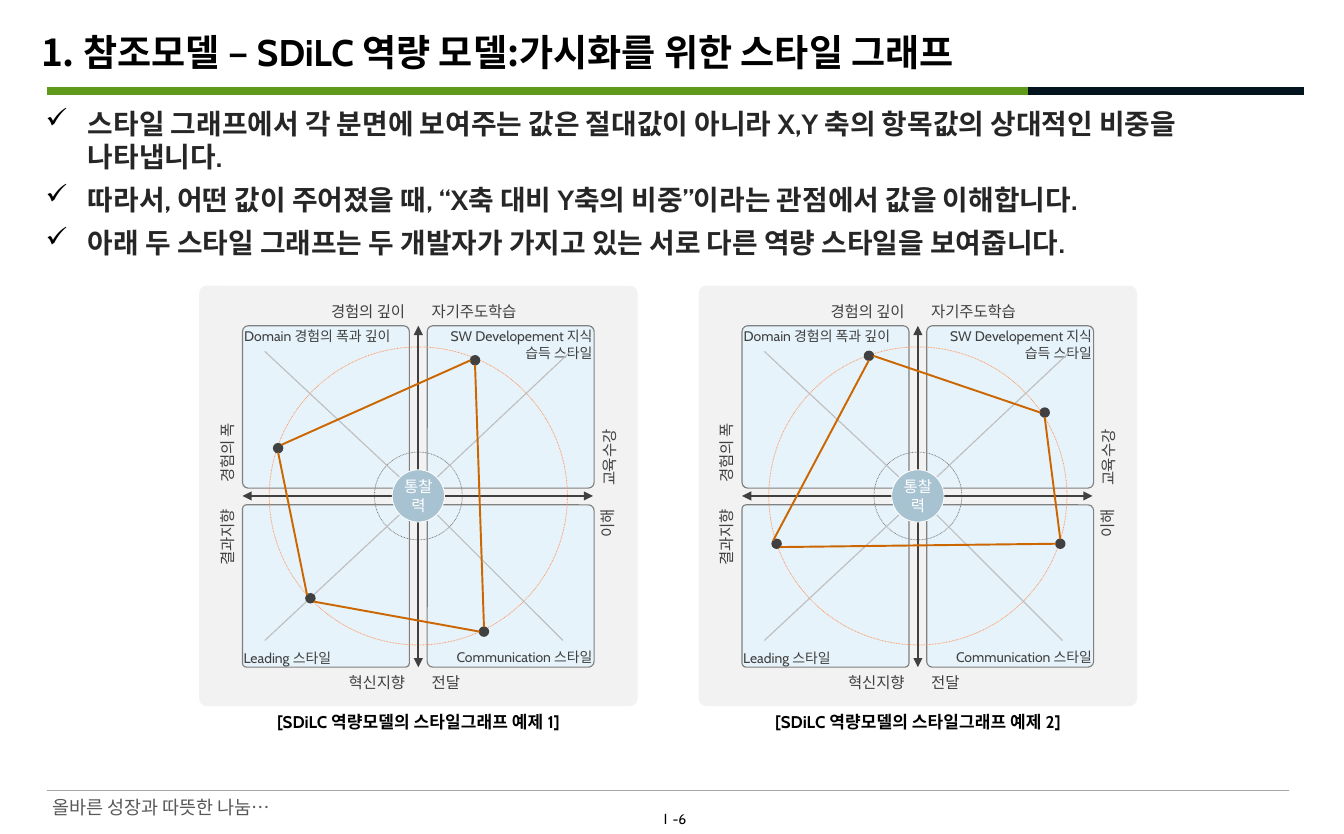
from lxml.etree import SubElement
from pptx import Presentation
from pptx.dml.color import RGBColor
from pptx.enum.dml import MSO_LINE
from pptx.enum.shapes import MSO_CONNECTOR, MSO_SHAPE
from pptx.enum.text import MSO_ANCHOR, PP_ALIGN
from pptx.oxml.ns import qn
from pptx.util import Pt

SCALE = 9144  # EMU per px, 100 px to the inch
SANS = "Noto Sans CJK KR"
DARK = "404040"
ALIGN = {"l": PP_ALIGN.LEFT, "c": PP_ALIGN.CENTER, "r": PP_ALIGN.RIGHT}
ANCHOR = {"t": MSO_ANCHOR.TOP, "m": MSO_ANCHOR.MIDDLE, "b": MSO_ANCHOR.BOTTOM}


def px(*vals):
    return [round(v * SCALE) for v in vals]


def color(code):
    return RGBColor.from_string(code)


def write(shape, *paras, size=10, font="Cabin", ink=DARK, bold=False,
          align="l", anchor="t", pad=(4, 5), bullet=None):
    """Each paragraph is a string or a list of (text, font) runs."""
    frame = shape.text_frame
    frame.word_wrap = True
    frame.vertical_anchor = ANCHOR[anchor]
    frame.margin_left = frame.margin_right = px(pad[0])[0]
    frame.margin_top = frame.margin_bottom = px(pad[1])[0]
    for i, para in enumerate(paras):
        p = frame.add_paragraph() if i else frame.paragraphs[0]
        p.alignment = ALIGN[align]
        if bullet:
            mark(p, bullet)
        for text, face in [(para, font)] if isinstance(para, str) else para:
            run = p.add_run()
            run.text = text
            run.font.size, run.font.bold = Pt(size), bold
            run.font.name = face
            run.font.color.rgb = color(ink)
            SubElement(run._r.get_or_add_rPr(), qn("a:ea"), typeface=face)


def mark(p, sign):
    """Give a paragraph a hanging bullet."""
    p.space_before = Pt(6)
    props = p._p.get_or_add_pPr()
    props.set("marL", str(38 * SCALE))
    props.set("indent", str(-38 * SCALE))
    tint = SubElement(props, qn("a:buClr"))
    SubElement(tint, qn("a:srgbClr"), val="000000")
    SubElement(props, qn("a:buChar"), char=sign)


def label(slide, box, *paras, turn=0, **style):
    area = slide.shapes.add_textbox(*px(*box))
    area.rotation = turn
    write(area, *paras, **style)


def block(slide, kind, box, fill=None, edge=None, width=1, dots=False, round_by=None):
    shape = slide.shapes.add_shape(kind, *px(*box))
    shape.shadow.inherit = False
    if fill:
        shape.fill.solid()
        shape.fill.fore_color.rgb = color(fill)
    else:
        shape.fill.background()
    if edge:
        shape.line.color.rgb = color(edge)
        shape.line.width = Pt(width)
    else:
        shape.line.fill.background()
    if dots:
        shape.line.dash_style = MSO_LINE.ROUND_DOT
    if round_by:
        shape.adjustments[0] = round_by
    return shape


def disc(slide, x, y, size, **style):
    """Draw a circle around a centre."""
    return block(slide, MSO_SHAPE.OVAL, (x - size / 2, y - size / 2, size, size), **style)


def rule(slide, start, end, ink, width, heads=False):
    line = slide.shapes.add_connector(MSO_CONNECTOR.STRAIGHT, *px(*start, *end))
    line.line.color.rgb = color(ink)
    line.line.width = Pt(width)
    SubElement(line._element.spPr, qn("a:effectLst"))
    if heads:
        for tag in ("a:headEnd", "a:tailEnd"):
            SubElement(line.line._ln, qn(tag), type="triangle")


def quads(slide, x, y):
    cells = [
        (205, 36, "r", "t", 0.035, ["SW Developement 지식", "습득 스타일"]),
        (39, 36, "l", "t", 0.035, ["Domain 경험의 폭과 깊이"]),
        (205, 197, "r", "b", 0.035, ["Communication 스타일"]),
        (39, 197, "l", "b", 0.025, ["Leading 스타일"]),
    ]
    for dx, dy, align, anchor, bend, paras in cells:
        cell = block(slide, MSO_SHAPE.ROUNDED_RECTANGLE, (x + dx, y + dy, 150, 146),
                     fill="E6F3FA", edge="808080", width=0.75, round_by=bend)
        write(cell, *paras, size=9, align=align, anchor=anchor, pad=(0, 0))


def axes(slide, x, y):
    """Draw rings, axes, diagonals and hub around the centre x, y."""
    disc(slide, x, y, 79, edge="808080", width=0.5, dots=True)
    disc(slide, x, y, 268, edge="FF9966", width=0.5, dots=True)
    rule(slide, (x - 158, y), (x + 157, y), DARK, 1.5, heads=True)
    for sx, sy, reach in [(1, -1, 137), (1, 1, 130), (-1, -1, 138), (-1, 1, 138)]:
        rule(slide, (x + 17 * sx, y + 17 * sy), (x + reach * sx, y + 130 * sy),
             "BFBFBF", 0.75)
    rule(slide, (x, y + 154), (x, y - 153), DARK, 1.5, heads=True)
    hub = disc(slide, x, y, 47, fill="A7C2D1", edge="FFFFFF", width=0.5)
    write(hub, "통찰력", ink="FFFFFF", align="c", anchor="m", pad=(0, 5))


def names(slide, x, y):
    tags = [
        ("자기주도학습", 205, 10, 95, "l", 0), ("경험의 깊이", 94, 10, 95, "r", 0),
        ("교육수강", 321, 123, 95, "l", 270), ("이해", 332, 219, 71, "r", 270),
        ("경험의 폭", -10, 132, 71, "l", 270), ("결과지향", -10, 219, 71, "r", 270),
        ("혁신지향", 118, 343, 71, "r", 0), ("전달", 205, 343, 71, "l", 0),
    ]
    for text, dx, dy, width, align, turn in tags:
        label(slide, (x + dx, y + dy, width, 27), text, align=align, turn=turn)


def trace(slide, x, y, dots, out):
    """Join four dots, clockwise from upper left; out is where the first line leaves."""
    for dx, dy in dots:
        disc(slide, x + dx, y + dy, 8, fill=DARK, edge=DARK)
    left, top, low = (-4, 0), (0, -4), (0, 4)
    links = [(0, out, 1, left), (1, low, 2, top), (0, low, 3, (-3, -3)), (2, left, 3, (3, 3))]
    for a, leave, b, meet in links:
        start, end = [(x + dots[i][0] + dx, y + dots[i][1] + dy)
                      for i, (dx, dy) in ((a, leave), (b, meet))]
        rule(slide, start, end, "CC6600", 1.25)


def graph(slide, box, title, dots, out):
    x, y, width, height = box
    block(slide, MSO_SHAPE.ROUNDED_RECTANGLE, box, fill="F2F2F2", round_by=0.018)
    quads(slide, x, y)
    axes(slide, x + width / 2, y + height / 2)
    names(slide, x, y)
    label(slide, (x, y + height, width, 29), title, size=11, ink="000000",
          bold=True, align="c", pad=(0, 5))
    trace(slide, x, y, dots, out)


def frame(slide, wide, high):
    """Draw the header bar and the footer."""
    rule(slide, (42, 82), (964, 82), "609A1A", 5)
    rule(slide, (924, 82), (wide - 36, 82), "04141E", 5)
    rule(slide, (42, high - 39), (wide - 49, high - 39), "A6A6A6", 0.25)
    label(slide, (37, high - 36, 221, 24), "올바른 성장과 따뜻한 나눔…", size=12,
          font=SANS, ink="595959", anchor="m", pad=(10, 5))
    label(slide, (513, high - 26, 183, 26), [("Ⅰ", SANS), ("-6", "Cabin")],
          size=9, ink="000000", align="c", pad=(10, 5))


def intro(slide, x, y, width):
    label(slide, (x, y, width, 63),
          [("1. 참조모델 – ", SANS), ("SDiLC ", "Cabin"),
           ("역량 모델:가시화를 위한 스타일 그래프", SANS)],
          size=24, ink="000000", bold=True, anchor="m", pad=(0, 0))
    label(slide, (x, y + 76, width + 5, 118),
          "스타일 그래프에서 각 분면에 보여주는 값은 절대값이 아니라 X,Y 축의 항목값의 상대적인 비중을 나타냅니다.",
          "따라서, 어떤 값이 주어졌을 때, “X축 대비 Y축의 비중”이라는 관점에서 값을 이해합니다.",
          "아래 두 스타일 그래프는 두 개발자가 가지고 있는 서로 다른 역량 스타일을 보여줍니다.",
          size=18, ink="262626", bold=True, bullet="✓")


def main():
    wide, high = 1208, 750
    deck = Presentation()
    deck.slide_width, deck.slide_height = px(wide, high)
    slide = deck.slides.add_slide(deck.slide_layouts[6])
    frame(slide, wide, high)
    intro(slide, 37, 15, 1137)
    cases = [
        ([(71, 146), (248, 67), (256, 311), (100, 281)], (3, -3)),
        ([(153, 63), (311, 114), (325, 232), (70, 232)], (4, 0)),
    ]
    for i, (dots, out) in enumerate(cases):
        graph(slide, (179 + 449 * i, 257, 394, 378),
              f"[SDiLC 역량모델의 스타일그래프 예제 {i + 1}]", dots, out)
    deck.save("out.pptx")


if __name__ == "__main__":
    main()
